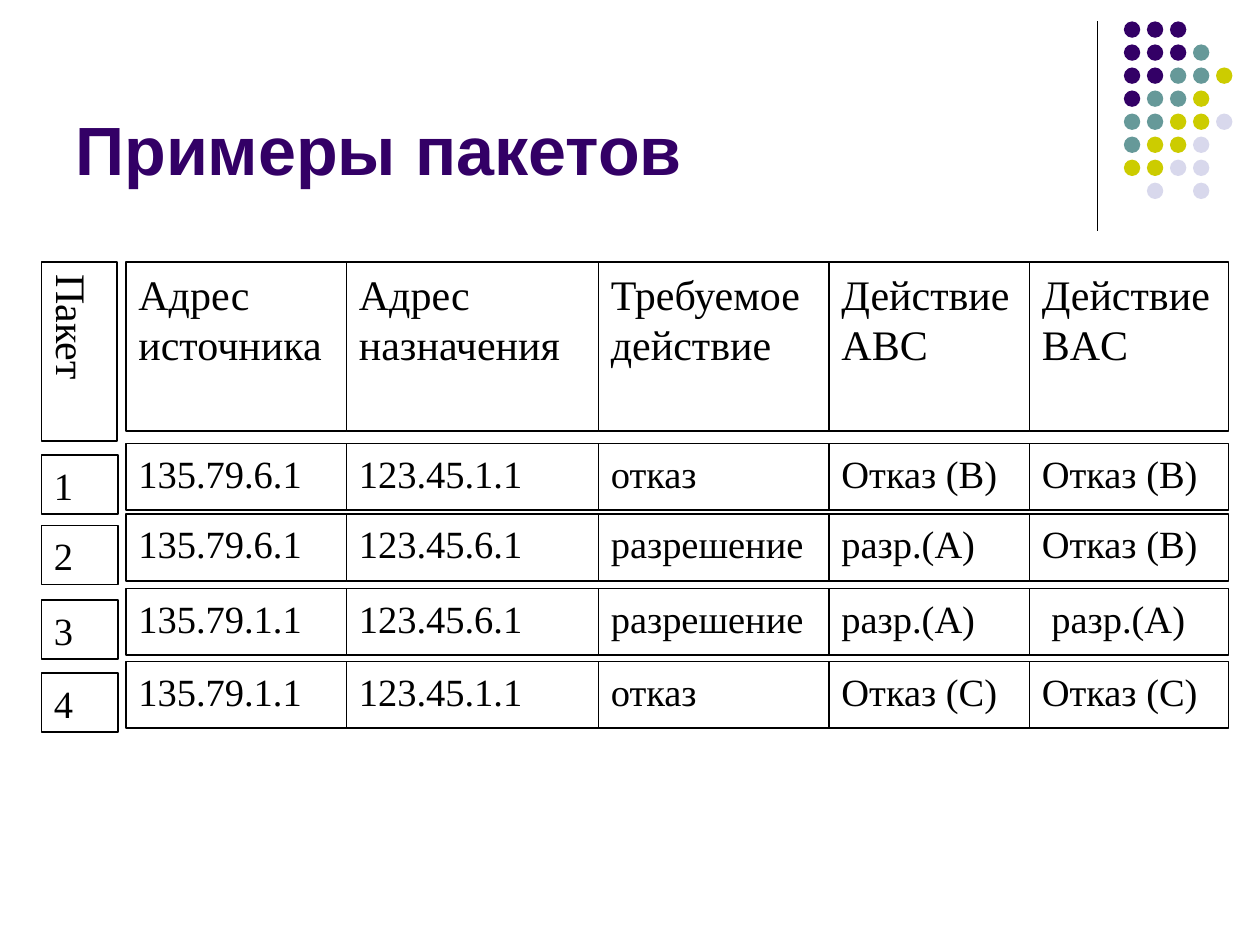
from itertools import pairwise

from pptx import Presentation
from pptx.dml.color import RGBColor
from pptx.enum.shapes import MSO_CONNECTOR, MSO_SHAPE
from pptx.enum.text import MSO_ANCHOR, PP_ALIGN
from pptx.oxml.ns import qn
from pptx.util import Inches, Pt
from lxml import etree

BLACK = "000000"
INDIGO = "330066"
DOT_COLORS = {"i": INDIGO, "t": "669999", "y": "CCCC00", "l": "D8D8EC"}
DOT_ROWS = ["iii", "iiit", "iitty", "itty", "ttyyl", "tyyl", "yyll", " l l"]

COLUMN_EDGES = [1, 2.75, 4.75, 6.58, 8.17, 9.75]
HEADERS = ["Адрес источника", "Адрес назначения", "Требуемое действие",
           "Действие ABC", "Действие BAC"]
PACKETS = [
    (3.52, ["135.79.6.1", "123.45.1.1", "отказ", "Отказ (B)", "Отказ (B)"]),
    (4.08, ["135.79.6.1", "123.45.6.1", "разрешение", "разр.(A)", "Отказ (B)"]),
    (4.67, ["135.79.1.1", "123.45.6.1", "разрешение", "разр.(A)", " разр.(A)"]),
    (5.25, ["135.79.1.1", "123.45.1.1", "отказ", "Отказ (С)", "Отказ (С)"]),
]


def rgb(color):
    return RGBColor.from_string(color)


def write(s, text, size, font, color, anchor, bold=False):
    tf = s.text_frame
    tf.word_wrap = True
    tf.vertical_anchor = anchor
    tf.text = text
    p = tf.paragraphs[0]
    p.alignment = PP_ALIGN.LEFT
    r = p.runs[0]
    r.font.size = Pt(size)
    r.font.name = font
    r.font.bold = bold
    r.font.color.rgb = rgb(color)


def add_title(slide, text):
    s = slide.shapes.add_textbox(Inches(0.5), Inches(0.13), Inches(8.25), Inches(1.42))
    write(s, text, 39, "Arial", INDIGO, MSO_ANCHOR.BOTTOM, bold=True)


def add_box(slide, left, top, width, height, text, size, anchor=MSO_ANCHOR.TOP):
    s = slide.shapes.add_shape(MSO_SHAPE.RECTANGLE, Inches(left), Inches(top),
                               Inches(width), Inches(height))
    s.shadow.inherit = False
    s.fill.background()
    s.line.color.rgb = rgb(BLACK)
    s.line.width = Pt(1)
    write(s, text, size, "Times New Roman", BLACK, anchor)
    return s


def add_vertical_box(slide, left, top, width, height, text, size):
    s = add_box(slide, left, top, width, height, text, size, MSO_ANCHOR.BOTTOM)
    tf = s.text_frame
    tf.margin_left = tf.margin_right = Inches(0.05)
    tf.margin_top = tf.margin_bottom = Inches(0.1)
    tf.paragraphs[0].alignment = PP_ALIGN.CENTER
    s.element.txBody.find(qn("a:bodyPr")).set("vert", "eaVert")


def add_row(slide, top, height, texts, size):
    for (left, right), text in zip(pairwise(COLUMN_EDGES), texts):
        add_box(slide, left, top, right - left, height, text, size)


def add_divider(slide):
    x = Inches(8.71)
    line = slide.shapes.add_connector(MSO_CONNECTOR.STRAIGHT, x, Inches(0.17),
                                      x, Inches(1.83))
    line.line.color.rgb = rgb(BLACK)
    line.line.width = Pt(0.75)
    etree.SubElement(line.element.spPr, qn("a:effectLst"))


def add_dots(slide):
    pitch = 1.28 / 7
    size = Inches(0.13)
    for row, codes in enumerate(DOT_ROWS):
        for col, code in enumerate(codes):
            if code == " ":
                continue
            dot = slide.shapes.add_shape(MSO_SHAPE.OVAL, Inches(8.92 + col * pitch),
                                         Inches(0.17 + row * pitch), size, size)
            dot.shadow.inherit = False
            dot.fill.solid()
            dot.fill.fore_color.rgb = rgb(DOT_COLORS[code])
            dot.line.fill.background()


def main():
    prs = Presentation()
    prs.slide_width, prs.slide_height = Inches(10), Inches(7.5)
    slide = prs.slides.add_slide(prs.slide_layouts[6])

    add_divider(slide)
    add_dots(slide)
    add_title(slide, "Примеры пакетов")

    add_vertical_box(slide, 0.33, 2.08, 0.6, 1.42, "Пакет", 24)
    add_row(slide, 2.08, 1.34, HEADERS, 24)
    for number, (top, texts) in enumerate(PACKETS, 1):
        add_box(slide, 0.33, top + 0.09, 0.61, 0.47, str(number), 22, MSO_ANCHOR.BOTTOM)
        add_row(slide, top, 0.53, texts, 22)

    prs.save("out.pptx")


if __name__ == "__main__":
    main()
